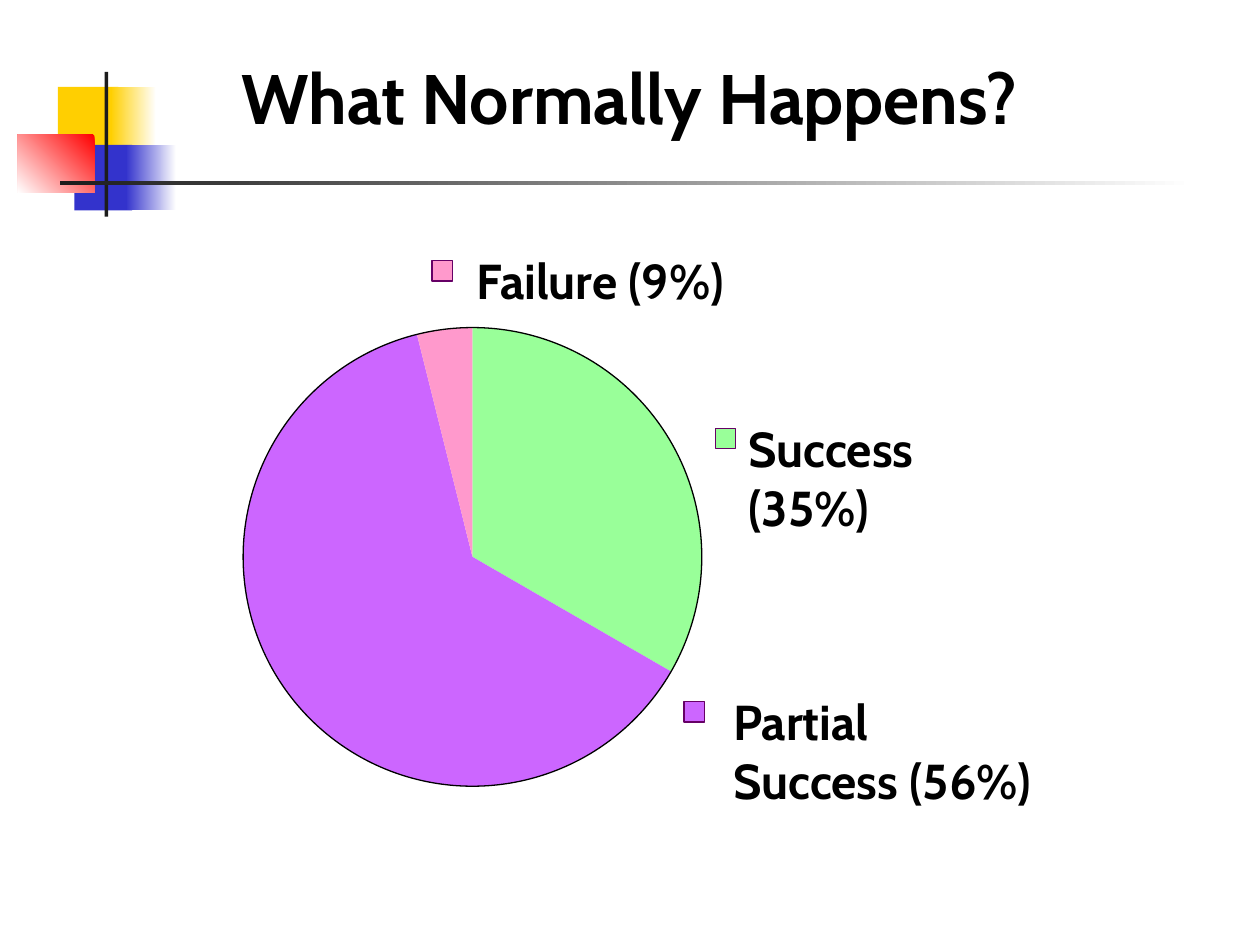
from dataclasses import dataclass

from pptx import Presentation
from pptx.dml.color import RGBColor
from pptx.enum import shapes, text
from pptx.util import Inches, Pt


@dataclass(frozen=True)
class Theme:
    font: str = "Cabin"
    title_size: int = 40
    label_size: int = 28
    ink: str = "000000"
    white: str = "FFFFFF"
    yellow: str = "FFCF01"
    blue: str = "3333CC"
    red: str = "FF0000"
    charcoal: str = "1C1C1C"
    swatch_edge: str = "660066"
    success: str = "99FF99"
    partial: str = "CC66FF"
    failure: str = "FF99CC"


theme = Theme()


def add_block(parent, kind, place, colors=(), angle=0, edge=None):
    block = parent.shapes.add_shape(kind, *map(Inches, place))
    block.shadow.inherit = False
    if len(colors) == 2:
        block.fill.gradient()
        block.fill.gradient_angle = angle
        for stop, color, position in zip(block.fill.gradient_stops, colors, (0, 1)):
            stop.color.rgb = RGBColor.from_string(color)
            stop.position = position
    elif colors:
        block.fill.solid()
        block.fill.fore_color.rgb = RGBColor.from_string(colors[0])
    else:
        block.fill.background()
    if edge:
        block.line.color.rgb = RGBColor.from_string(edge)
        block.line.width = Pt(0.75)
    else:
        block.line.fill.background()
    return block


def write_lines(box, lines, size, align, anchor):
    frame = box.text_frame
    frame_format = {
        "margin_left": 0, "margin_top": 0, "margin_right": 0, "margin_bottom": 0,
        "word_wrap": True, "vertical_anchor": anchor,
        "auto_size": text.MSO_AUTO_SIZE.SHAPE_TO_FIT_TEXT,
    }
    for name, value in frame_format.items():
        setattr(frame, name, value)
    frame.text = "\n".join(lines)
    for para in frame.paragraphs:
        para.alignment = align
        for span in para.runs:
            for name, value in {"name": theme.font, "size": Pt(size), "bold": True}.items():
                setattr(span.font, name, value)
            span.font.color.rgb = RGBColor.from_string(theme.ink)


deck = Presentation()
deck.slide_width, deck.slide_height = Inches(10), Inches(7.5)
page = deck.slides.add_slide(deck.slide_layouts[5])
rectangle = shapes.MSO_SHAPE.RECTANGLE

ornaments = [
    ((0.46, 0.69, 0.48, 0.52), (theme.yellow,), 0),
    ((0.88, 0.69, 0.36, 0.52), (theme.white, theme.yellow), 180),
    ((0.59, 1.15, 0.46, 0.52), (theme.blue,), 0),
    ((1, 1.15, 0.4, 0.52), (theme.white, theme.blue), 180),
    ((0.14, 1.07, 0.61, 0.46), (theme.red, theme.white), 225),
    ((0.83, 0.57, 0.03, 1.15), (theme.charcoal,), 0),
    ((0.48, 1.44, 9, 0.03), (theme.white, theme.charcoal), 180),
]
for place, colors, angle in ornaments:
    add_block(page, rectangle, place, colors, angle)

title = page.shapes.title
title_place = {"left": 0.42, "top": 0.43, "width": 9.15, "height": 0.67}
for name, value in title_place.items():
    setattr(title, name, Inches(value))
write_lines(title, ["What Normally Happens?"], theme.title_size,
            text.PP_ALIGN.CENTER, text.MSO_ANCHOR.BOTTOM)
page.shapes.element.append(title.element)

pie = page.shapes.add_group_shape()
circle = (1.93, 2.6, 3.64, 3.64)
degree = 0.6
wedges = [(theme.success, 270, 30), (theme.partial, 30, 256), (theme.failure, 256, 270)]
for color, start, end in wedges:
    wedge = add_block(pie, shapes.MSO_SHAPE.PIE, circle, (color,))
    wedge.adjustments[0] = start * degree
    wedge.adjustments[1] = end * degree
add_block(pie, shapes.MSO_SHAPE.OVAL, circle, edge=theme.ink)

legend = [
    (theme.success, 5.68, 3.4, 5.94, 1.48, ["Success", "(35%)"]),
    (theme.partial, 5.43, 5.57, 5.82, 2.64, ["Partial", "Success (56%)"]),
    (theme.failure, 3.43, 2.07, 3.78, 2.28, ["Failure (9%)"]),
]
for color, swatch_left, top, left, width, lines in legend:
    add_block(pie, rectangle, (swatch_left, top, 0.16, 0.16), (color,), edge=theme.swatch_edge)
    box = pie.shapes.add_textbox(Inches(left), Inches(top - 0.08),
                                 Inches(width), Inches(0.47 * len(lines)))
    write_lines(box, lines, theme.label_size, text.PP_ALIGN.LEFT, text.MSO_ANCHOR.TOP)

deck.save("out.pptx")
